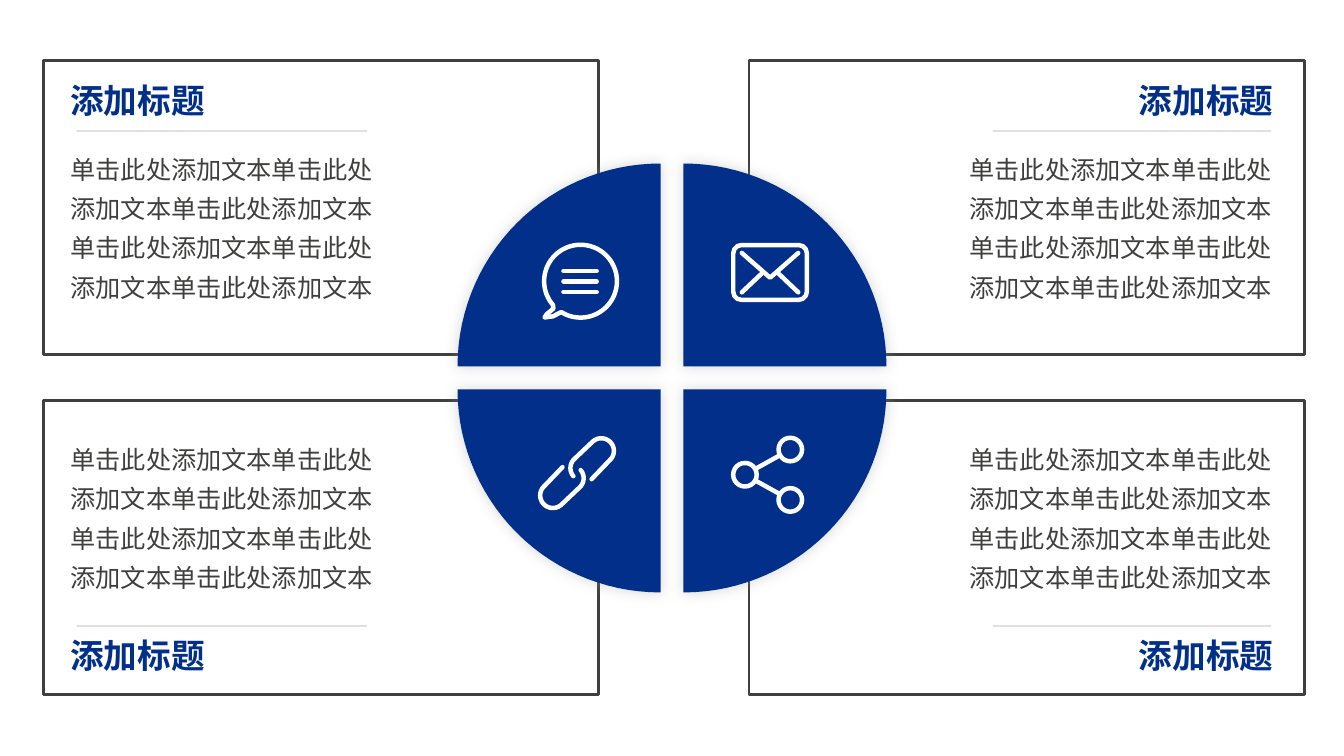
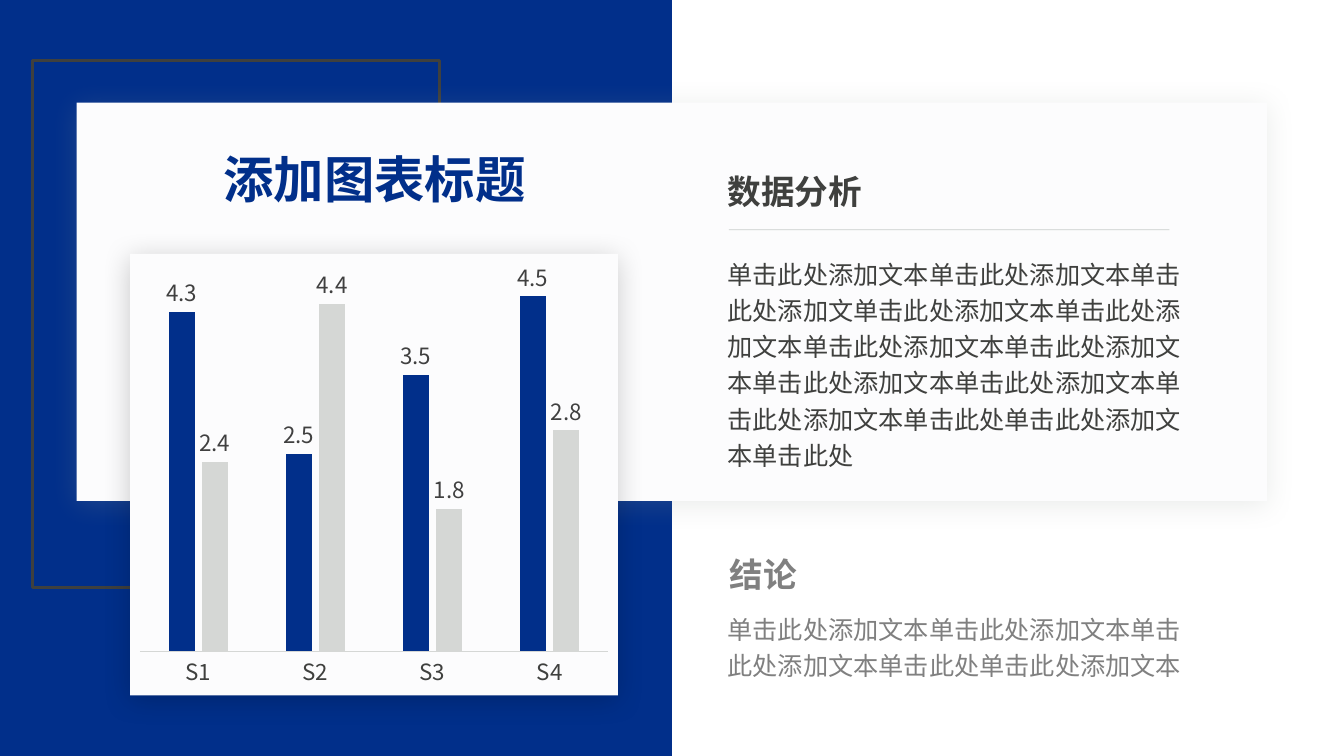
"""Build two business slides: a four-part circle and a chart with its analysis."""
from dataclasses import dataclass
from itertools import product
from math import cos, hypot, radians, sin
from typing import Optional

from lxml.etree import SubElement
from pptx import Presentation
from pptx.chart.data import CategoryChartData
from pptx.dml.color import RGBColor
from pptx.enum.chart import XL_CHART_TYPE as ChartType
from pptx.enum.chart import XL_LABEL_POSITION as LabelPosition
from pptx.enum.chart import XL_TICK_LABEL_POSITION as TickLabels
from pptx.enum.chart import XL_TICK_MARK as TickMark
from pptx.enum.shapes import MSO_CONNECTOR as Connector
from pptx.enum.shapes import MSO_SHAPE as Preset
from pptx.enum.text import MSO_ANCHOR as Anchor
from pptx.enum.text import MSO_AUTO_SIZE as AutoSize
from pptx.enum.text import PP_ALIGN as Align
from pptx.oxml.ns import qn
from pptx.util import Pt

FONT = "Noto Sans CJK SC"
COLORS = {
    "navy": "012F8A", "ink": "3F403E", "rule": "262626", "mist": "969F98",
    "card": "FCFCFD", "silver": "D5D7D5", "gray": "808080",
    "label": "404040", "black": "000000", "white": "FFFFFF",
}
PHRASE = "单击此处添加文本"
HALF_PHRASE = "单击此处"
HEADING = "添加标题"
ICON_STROKE = 3.2
Point = tuple[float, float]


@dataclass(frozen=True)
class Box:
    left: float
    top: float
    width: float
    height: float

    def lengths(self) -> tuple:
        return Pt(self.left), Pt(self.top), Pt(self.width), Pt(self.height)


@dataclass(frozen=True)
class Shadow:
    color: str
    alpha: int
    blur: float
    distance: float = 0
    angle: int = 0


@dataclass(frozen=True)
class Style:
    size: float
    color: str
    bold: bool = False
    align: Align = Align.LEFT
    spacing: float = 1.0
    wrap: bool = True


@dataclass(frozen=True)
class Side:
    frame: float
    body: float
    body_width: float
    heading: float
    rule: tuple[float, float]
    align: Align


@dataclass(frozen=True)
class Row:
    frame: float
    body: float
    heading: float
    rule: float


@dataclass(frozen=True)
class Quadrant:
    x_sign: int
    y_sign: int
    start: int


SIDES = (
    Side(31, 43.2, 239, 43.2, (54.7, 262.1), Align.LEFT),
    Side(535, 685.4, 231.2, 805, (709.2, 907.9), Align.RIGHT),
)
ROWS = (Row(43.2, 100.1, 53.3, 93.6), Row(285.8, 307.4, 450, 447.1))
QUADRANTS = (
    Quadrant(-1, -1, 180), Quadrant(1, -1, 270),
    Quadrant(1, 1, 0), Quadrant(-1, 1, 90),
)
GLOW = Shadow("mist", 40, 10)
CARD_SHADOW = Shadow("mist", 20, 20, 3, 90)
CHART_SHADOW = Shadow("black", 20, 20, 3, 90)


def rgb(name: str) -> RGBColor:
    return RGBColor.from_string(COLORS[name])


def arc(center: Point, radius: float, start: float, end: float) -> list[Point]:
    steps = max(6, round(abs(end - start) / 3))
    angles = [radians(start + (end - start) * i / steps) for i in range(steps + 1)]
    return [(center[0] + radius * cos(a), center[1] + radius * sin(a)) for a in angles]


def paint(shape, fill: Optional[str] = None, line: Optional[str] = None,
          width: float = 2, shadow: Optional[Shadow] = None) -> None:
    shape.shadow.inherit = False
    if fill:
        shape.fill.solid()
        shape.fill.fore_color.rgb = rgb(fill)
    else:
        shape.fill.background()
    if line:
        shape.line.color.rgb = rgb(line)
        shape.line.width = Pt(width)
    else:
        shape.line.fill.background()
    if shadow:
        effects = shape.element.spPr.find(qn("a:effectLst"))
        outer = SubElement(effects, qn("a:outerShdw"), {
            "blurRad": str(Pt(shadow.blur)), "dist": str(Pt(shadow.distance)),
            "dir": str(shadow.angle * 60000), "algn": "ctr", "rotWithShape": "0"})
        color = SubElement(outer, qn("a:srgbClr"), val=COLORS[shadow.color])
        SubElement(color, qn("a:alpha"), val=str(shadow.alpha * 1000))


def add_preset(page, box: Box, kind: Preset = Preset.RECTANGLE, **look):
    shape = page.shapes.add_shape(kind, *box.lengths())
    paint(shape, **look)
    return shape


def add_outline(page, points: list[Point], closed: bool = True, **look):
    corners = [(Pt(x), Pt(y)) for x, y in points]
    builder = page.shapes.build_freeform(*corners[0])
    builder.add_line_segments(corners[1:], close=closed)
    shape = builder.convert_to_shape()
    paint(shape, **look)
    return shape


def round_ends(shape) -> None:
    line = shape.element.spPr.find(qn("a:ln"))
    line.set("cap", "rnd")
    SubElement(line, qn("a:round"))


def add_stroke(page, points: list[Point], closed: bool = False) -> None:
    round_ends(add_outline(page, points, closed, line="white", width=ICON_STROKE))


def add_line(page, start: Point, end: Point, color: str, width: float,
             alpha: int = 100):
    line = page.shapes.add_connector(
        Connector.STRAIGHT, Pt(start[0]), Pt(start[1]), Pt(end[0]), Pt(end[1]))
    line.line.color.rgb = rgb(color)
    line.line.width = Pt(width)
    properties = line.element.spPr
    SubElement(properties, qn("a:effectLst"))
    if alpha < 100:
        tint = next(properties.iter(qn("a:srgbClr")))
        SubElement(tint, qn("a:alpha"), val=str(alpha * 1000))
    return line


def write(frame, text: str, style: Style) -> None:
    frame.word_wrap = style.wrap
    frame.auto_size = AutoSize.SHAPE_TO_FIT_TEXT
    frame.vertical_anchor = Anchor.TOP
    para = frame.paragraphs[0]
    para.alignment = style.align
    para.line_spacing = style.spacing
    span = para.add_run()
    span.text = text
    span.font.size = Pt(style.size)
    span.font.bold = style.bold
    span.font.color.rgb = rgb(style.color)
    span.font.name = FONT
    SubElement(span._r.get_or_add_rPr(), qn("a:ea"), typeface=FONT)


def add_text(page, box: Box, text: str, style: Style) -> None:
    write(page.shapes.add_textbox(*box.lengths()).text_frame, text, style)


def add_bubble_icon(page) -> None:
    tail = [(395, 226), (389, 226.8), (390.5, 224.5), (395.3, 220.5)]
    add_stroke(page, arc((414.7, 200.9), 26, 139, 482) + tail, closed=True)
    for i in range(3):
        y = 193.5 + 7.5 * i
        round_ends(add_line(page, (402.5, y), (426.2, y), "white", ICON_STROKE))


def add_envelope_icon(page) -> None:
    cover = add_preset(page, Box(523.8, 175, 52.6, 39.2), Preset.ROUNDED_RECTANGLE,
                       line="white", width=ICON_STROKE)
    cover.adjustments[0] = 0.15
    add_stroke(page, [(529.9, 180.7), (550.1, 198.4), (570.2, 180.7)])
    for corner, fold in ((529.9, 544), (570.2, 556.2)):
        round_ends(add_line(page, (corner, 208.8), (fold, 195.5), "white", ICON_STROKE))


def add_link_icon(page) -> None:
    pivot = (412.2, 338)
    loop = ([(401.8, 333.7)] + arc((394.9, 353.9), 9, 225, 45)
            + arc((407.9, 341.6), 9, 45, -40))
    add_stroke(page, loop)
    add_stroke(page, [(2 * pivot[0] - x, 2 * pivot[1] - y) for x, y in loop])


def add_share_icon(page) -> None:
    radius, hub, ends = 8.4, (532.1, 339.1), ((564.5, 321.1), (564.5, 357.1))
    for x, y in (hub, *ends):
        add_preset(page, Box(x - radius, y - radius, 2 * radius, 2 * radius),
                   Preset.OVAL, line="white", width=ICON_STROKE)
    for x, y in ends:
        ratio = radius / hypot(x - hub[0], y - hub[1])
        dx, dy = (x - hub[0]) * ratio, (y - hub[1]) * ratio
        add_line(page, (hub[0] + dx, hub[1] + dy), (x - dx, y - dy),
                 "white", ICON_STROKE)


def build_circle_page(deck) -> None:
    page = deck.slides.add_slide(deck.slide_layouts[6])
    panels = list(product(SIDES, ROWS))
    for side, row in panels:
        add_preset(page, Box(side.frame, row.frame, 396.7, 210.2), line="ink")
    for part in QUADRANTS:
        center = (480 + 8.2 * part.x_sign, 270 + 8.2 * part.y_sign)
        add_outline(page, [center] + arc(center, 145, part.start, part.start + 90),
                    fill="navy", shadow=GLOW)
    for add_icon in (add_bubble_icon, add_envelope_icon, add_link_icon, add_share_icon):
        add_icon(page)
    for side, row in panels:
        add_text(page, Box(side.body, row.body, side.body_width, 118), PHRASE * 6,
                 Style(18, "ink", spacing=1.3))
        add_text(page, Box(side.heading, row.heading, 111.6, 36), HEADING,
                 Style(24, "navy", bold=True, align=side.align, wrap=False))
        left, right = side.rule
        add_line(page, (left, row.rule), (right, row.rule), "rule", 0.5, 40)


def set_font(font, size: float, color: str) -> None:
    font.name = FONT
    font.size = Pt(size)
    font.color.rgb = rgb(color)


def add_bars(page, box: Box) -> None:
    data = CategoryChartData()
    data.categories = ["S1", "S2", "S3", "S4"]
    data.add_series("Series 1", (4.3, 2.5, 3.5, 4.5))
    data.add_series("Series 2", (2.4, 4.4, 1.8, 2.8))
    chart = page.shapes.add_chart(ChartType.COLUMN_CLUSTERED, *box.lengths(), data).chart
    chart.has_legend = chart.has_title = False
    set_font(chart.font, 10, "black")
    values, names = chart.value_axis, chart.category_axis
    values.visible = values.has_major_gridlines = False
    values.minimum_scale, values.maximum_scale = 0, 5
    names.major_tick_mark = names.minor_tick_mark = TickMark.NONE
    names.tick_label_position = TickLabels.NEXT_TO_AXIS
    set_font(names.tick_labels.font, 16, "ink")
    names.format.line.color.rgb = rgb("silver")
    names.format.line.width = Pt(0.25)
    plot = chart.plots[0]
    plot.gap_width, plot.overlap, plot.vary_by_categories = 219, -27, False
    for series, color in zip(plot.series, ("navy", "silver")):
        series.format.fill.solid()
        series.format.fill.fore_color.rgb = rgb(color)
        labels = series.data_labels
        labels.show_value = True
        labels.position = LabelPosition.OUTSIDE_END
        set_font(labels.font, 16, "label")


def build_chart_page(deck) -> None:
    page = deck.slides.add_slide(deck.slide_layouts[5])
    add_preset(page, Box(0, 0, 480, 540), fill="navy")
    add_preset(page, Box(23, 43.2, 290.9, 376.6), line="ink")
    add_preset(page, Box(54.7, 73.4, 850.3, 284.4), fill="card", shadow=CARD_SHADOW)
    title = page.shapes.title
    title.left, title.top, title.width, title.height = Box(151.2, 102.2, 232.6, 51.1).lengths()
    write(title.text_frame, "添加图表标题",
          Style(36, "navy", bold=True, align=Align.CENTER, wrap=False))
    title.element.getparent().append(title.element)
    analysis = PHRASE * 2 + PHRASE[:-1] + PHRASE * 7 + HALF_PHRASE + PHRASE + HALF_PHRASE
    add_text(page, Box(512.6, 177.1, 355, 162), analysis, Style(18, "ink", spacing=1.2))
    add_text(page, Box(512.6, 118.8, 111.6, 36), "数据分析",
             Style(24, "ink", bold=True, wrap=False))
    add_line(page, (520.6, 164.2), (835.2, 164.2), "mist", 0.5, 50)
    add_preset(page, Box(92.9, 181.4, 348.5, 315.4), fill="card", shadow=CHART_SHADOW)
    add_bars(page, Box(92.9, 177.1, 348.5, 319.7))
    add_text(page, Box(514.1, 392.4, 63.4, 36), "结论",
             Style(24, "gray", bold=True, wrap=False))
    add_text(page, Box(512.6, 430.6, 355, 57.6), PHRASE * 3 + HALF_PHRASE + PHRASE,
             Style(18, "gray", spacing=1.2))


deck = Presentation()
deck.slide_width, deck.slide_height = Pt(960), Pt(540)
build_circle_page(deck)
build_chart_page(deck)
deck.save("out.pptx")
